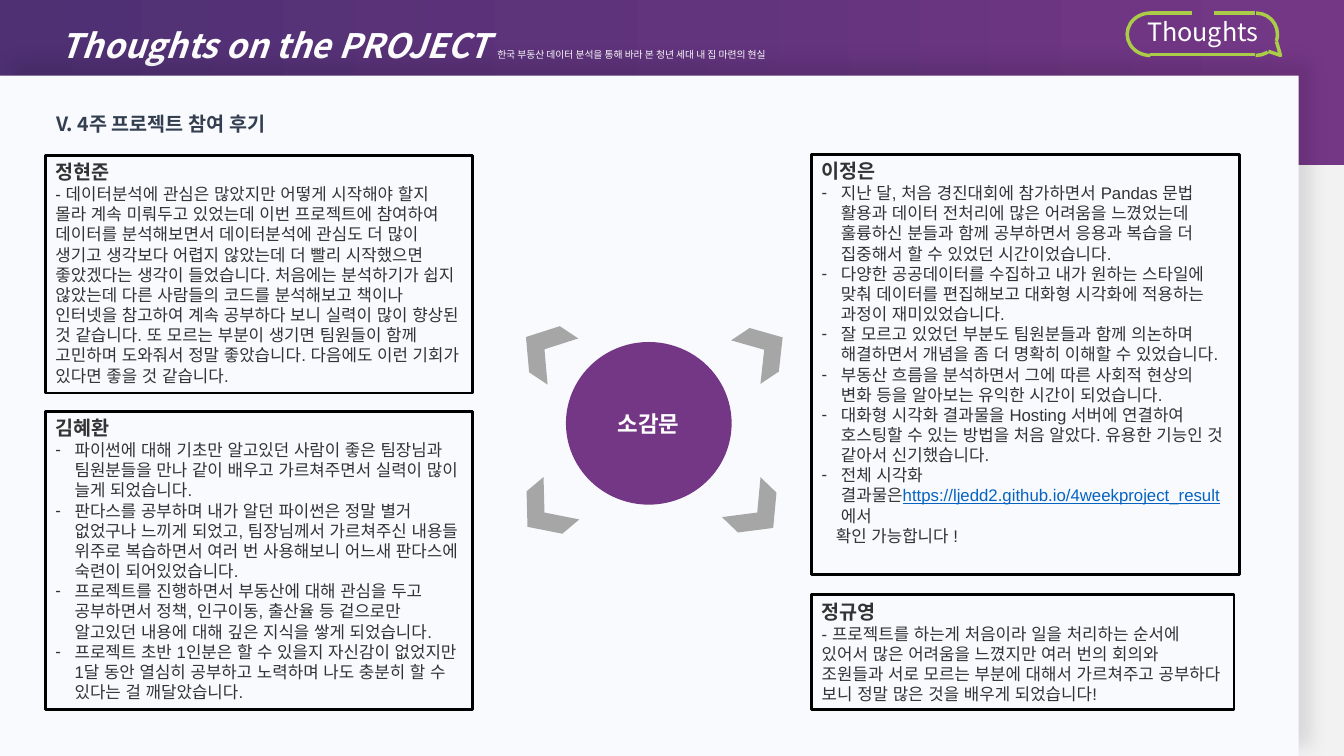
from dataclasses import dataclass

from lxml.etree import SubElement
from pptx import Presentation
from pptx.dml.color import RGBColor
from pptx.enum.shapes import MSO_CONNECTOR as Connector, MSO_SHAPE as Preset
from pptx.enum.text import MSO_ANCHOR as Anchor, MSO_AUTO_SIZE as AutoSize, PP_ALIGN as Align
from pptx.oxml.ns import qn
from pptx.util import Inches, Pt


@dataclass(frozen=True)
class Theme:
    background: str = "F2F2F2"
    panel: str = "F9FAFE"
    deep_purple: str = "4E3073"
    purple: str = "743786"
    lime: str = "ABCC49"
    gray: str = "A6A6A6"
    white: str = "FFFFFF"
    black: str = "000000"
    ink: str = "333333"
    slate: str = "333F50"
    link: str = "0563C1"
    heading_font: str = "Noto Sans CJK KR"
    body_font: str = "Arial"
    title_size: float = 24
    tagline_size: float = 7
    badge_size: float = 18
    center_size: float = 16
    name_size: float = 14
    body_size: float = 12


theme = Theme()

TITLE = "Thoughts on the PROJECT "
TAGLINE = "한국 부동산 데이터 분석을 통해 바라 본 청년 세대 내 집 마련의 현실"
SECTION = "V. 4주 프로젝트 참여 후기"
BADGE = "Thoughts"
CENTER = "소감문"
LINK = "https://ljedd2.github.io/4weekproject_result"

REVIEWS = [
    {"name": "정현준", "box": (0.45, 1.54, 4.24, 2.36), "paragraphs": [
        "- 데이터분석에 관심은 많았지만 어떻게 시작해야 할지 몰라 계속 미뤄두고 있었는데 이번 프로젝트에 참여하여 "
        "데이터를 분석해보면서 데이터분석에 관심도 더 많이 생기고 생각보다 어렵지 않았는데 더 빨리 시작했으면 "
        "좋았겠다는 생각이 들었습니다. 처음에는 분석하기가 쉽지 않았는데 다른 사람들의 코드를 분석해보고 책이나 "
        "인터넷을 참고하여 계속 공부하다 보니 실력이 많이 향상된 것 같습니다. 또 모르는 부분이 생기면 팀원들이 함께 "
        "고민하며 도와줘서 정말 좋았습니다. 다음에도 이런 기회가 있다면 좋을 것 같습니다."]},
    {"name": "이정은", "box": (8.05, 1.53, 4.24, 4.17), "bullets": [
        "지난 달, 처음 경진대회에 참가하면서 Pandas 문법 활용과 데이터 전처리에 많은 어려움을 느꼈었는데 "
        "훌륭하신 분들과 함께 공부하면서 응용과 복습을 더 집중해서 할 수 있었던 시간이었습니다.",
        "다양한 공공데이터를 수집하고 내가 원하는 스타일에 맞춰 데이터를 편집해보고 대화형 시각화에 적용하는 "
        "과정이 재미있었습니다.",
        "잘 모르고 있었던 부분도 팀원분들과 함께 의논하며 해결하면서 개념을 좀 더 명확히 이해할 수 있었습니다.",
        "부동산 흐름을 분석하면서 그에 따른 사회적 현상의 변화 등을 알아보는 유익한 시간이 되었습니다.",
        "대화형 시각화 결과물을 Hosting 서버에 연결하여 호스팅할 수 있는 방법을 처음 알았다. 유용한 기능인 "
        "것 같아서 신기했습니다.",
        f"전체 시각화 결과물은{LINK} 에서"],
     "closing": "확인 가능합니다 !"},
    {"name": "김혜환", "box": (0.45, 4.08, 4.24, 2.96), "bullets": [
        "파이썬에 대해 기초만 알고있던 사람이 좋은 팀장님과 팀원분들을 만나 같이 배우고 가르쳐주면서 실력이 많이 "
        "늘게 되었습니다.",
        "판다스를 공부하며 내가 알던 파이썬은 정말 별거 없었구나 느끼게 되었고, 팀장님께서 가르쳐주신 내용들 위주로 "
        "복습하면서 여러 번 사용해보니 어느새 판다스에 숙련이 되어있었습니다.",
        "프로젝트를 진행하면서 부동산에 대해 관심을 두고 공부하면서 정책, 인구이동, 출산율 등 겉으로만 알고있던 "
        "내용에 대해 깊은 지식을 쌓게 되었습니다.",
        "프로젝트 초반 1인분은 할 수 있을지 자신감이 없었지만 1달 동안 열심히 공부하고 노력하며 나도 충분히 할 수 "
        "있다는 걸 깨달았습니다."]},
    {"name": "정규영", "box": (8.05, 5.9, 4.19, 1.14), "paragraphs": [
        "- 프로젝트를 하는게 처음이라 일을 처리하는 순서에 있어서 많은 어려움을 느꼈지만 여러 번의 회의와 조원들과 "
        "서로 모르는 부분에 대해서 가르쳐주고 공부하다 보니 정말 많은 것을 배우게 되었습니다!"]},
]

CHEVRONS = [
    ((5.18, 3.19, 0.44, 0.55), 213.6),
    ((5.18, 4.81, 0.44, 0.55), 139.9),
    ((7.36, 3.21, 0.44, 0.52), 326.1),
    ((7.29, 4.81, 0.44, 0.55), 44),
]
BUBBLE_ARCS = [(97.02, 162.08), (52.96, 73.55)]
BUBBLE_LINES = [(11.41, 12.45, 0.54), (11.41, 11.82, 0.13), (12.04, 12.45, 0.13)]
BUBBLE_TAIL = [(12.66, 0.41), (12.7, 0.55), (12.58, 0.51)]


def rgb(color):
    return RGBColor.from_string(color)


def inches(values):
    return [Inches(value) for value in values]


def add_text(paragraph, text, size=theme.body_size, font=theme.body_font, color=theme.ink,
             bold=False, italic=False, underline=False):
    run = paragraph.add_run()
    run.text = text
    run.font.size, run.font.name = Pt(size), font
    run.font.bold, run.font.italic, run.font.underline = bold, italic, underline
    run.font.color.rgb = rgb(color)
    SubElement(run.font._element, qn("a:ea"), typeface=font)


def set_frame(shape, anchor=Anchor.TOP, wrap=True):
    frame = shape.text_frame
    frame.auto_size, frame.word_wrap, frame.vertical_anchor = AutoSize.NONE, wrap, anchor
    return frame.paragraphs[0]


def set_paragraph(paragraph, margin=0, bullet=None, spacing=1.0, align=Align.LEFT):
    paragraph.alignment, paragraph.line_spacing = align, spacing
    paragraph.space_before = Pt(0)
    properties = paragraph._p.get_or_add_pPr()
    properties.set("marL", str(Inches(margin)))
    properties.set("indent", str(Inches(-margin if bullet else 0)))
    if bullet:
        SubElement(properties, qn("a:buChar"), char=bullet)
    else:
        SubElement(properties, qn("a:buNone"))


def place(shape, box):
    shape.left, shape.top, shape.width, shape.height = inches(box)


def add_preset(shapes, preset, box, fill=None, line=None, width=1.0):
    shape = shapes.add_shape(preset, *inches(box))
    shape.shadow.inherit = False
    if fill:
        shape.fill.solid()
        shape.fill.fore_color.rgb = rgb(fill)
    else:
        shape.fill.background()
    if line:
        set_line(shape, line, width)
    else:
        shape.line.fill.background()
    return shape


def set_line(shape, color, width):
    shape.line.color.rgb = rgb(color)
    shape.line.width = Pt(width)


def add_header(slide):
    title = slide.shapes.title
    place(title, (0, 0, 13.33, 1.64))
    title.fill.gradient()
    title.fill.gradient_angle = 0
    for stop, color in zip(title.fill.gradient_stops, (theme.deep_purple, theme.purple)):
        stop.color.rgb = rgb(color)
    paragraph = set_frame(title)
    set_paragraph(paragraph, margin=0.5, spacing=1.5)
    heading = {"font": theme.heading_font, "color": theme.white}
    add_text(paragraph, TITLE, size=theme.title_size, bold=True, italic=True, **heading)
    add_text(paragraph, TAGLINE, size=theme.tagline_size, **heading)

    panel = add_preset(slide.shapes, Preset.RECTANGLE, (0, 0.75, 12.88, 6.78), theme.panel)
    effects = panel.element.spPr.find(qn("a:effectLst"))
    shadow = SubElement(effects, qn("a:outerShdw"), blurRad=str(Pt(13)), dist=str(Pt(13)),
                        dir=str(315 * 60000), algn="bl", rotWithShape="0")
    shadow_color = SubElement(shadow, qn("a:srgbClr"), val=theme.black)
    SubElement(shadow_color, qn("a:alpha"), val="11000")
    title.element.addnext(panel.element)


def add_bubble(slide):
    shapes = slide.shapes.add_group_shape().shapes
    outline = {"line": theme.lime, "width": 2.5}
    bracket = add_preset(shapes, Preset.LEFT_BRACKET, (11.18, 0.13, 0.23, 0.42), **outline)
    bracket.adjustments[0] = 0.92
    for angles in BUBBLE_ARCS:
        arc = add_preset(shapes, Preset.ARC, (12.25, 0.13, 0.42, 0.42), **outline)
        arc.adjustments[0], arc.adjustments[1] = angles
        arc.element.spPr.find(qn("a:xfrm")).set("flipH", "1")
    for start, end, top in BUBBLE_LINES:
        line = shapes.add_connector(Connector.STRAIGHT, *inches((start, top, end, top)))
        set_line(line, **{"color": theme.lime, "width": 2.5})
        SubElement(line._element.spPr, qn("a:effectLst"))
    start, *rest = [inches(point) for point in BUBBLE_TAIL]
    builder = shapes.build_freeform(*start)
    builder.add_line_segments(rest, close=False)
    tail = builder.convert_to_shape()
    tail.shadow.inherit = False
    tail.fill.background()
    set_line(tail, theme.lime, 2.5)


def add_label(slide, box, text, spacing=1.0, align=Align.LEFT, **text_format):
    paragraph = set_frame(slide.shapes.add_textbox(*inches(box)))
    set_paragraph(paragraph, spacing=spacing, align=align)
    add_text(paragraph, text, font=theme.heading_font, **text_format)


def fill_review(placeholder, review):
    place(placeholder, review["box"])
    set_line(placeholder, theme.black, 2)
    paragraph = set_frame(placeholder)
    set_paragraph(paragraph)
    add_text(paragraph, review["name"], size=theme.name_size, bold=True)
    entries = [(text, 0, None) for text in review.get("paragraphs", [])]
    entries += [(text, 0.19, "-") for text in review.get("bullets", [])]
    if "closing" in review:
        entries.append((review["closing"], 0.14, None))
    for text, margin, bullet in entries:
        paragraph = placeholder.text_frame.add_paragraph()
        set_paragraph(paragraph, margin, bullet)
        before, link, after = text.partition(LINK)
        add_text(paragraph, before)
        if link:
            add_text(paragraph, link, color=theme.link, underline=True)
            add_text(paragraph, after)


def add_center(slide):
    circle = add_preset(slide.shapes, Preset.OVAL, (5.62, 3.4, 1.63, 1.6), theme.purple, theme.purple)
    paragraph = set_frame(circle, Anchor.MIDDLE, wrap=False)
    set_paragraph(paragraph, align=Align.CENTER)
    add_text(paragraph, CENTER, size=theme.center_size, font=theme.heading_font,
             color=theme.white, bold=True)
    for box, rotation in CHEVRONS:
        add_preset(slide.shapes, Preset.CHEVRON, box, theme.gray).rotation = rotation


def main():
    presentation = Presentation()
    presentation.slide_width, presentation.slide_height = Inches(13.33), Inches(7.5)
    slide = presentation.slides.add_slide(presentation.slide_layouts.get_by_name("Comparison"))
    slide.background.fill.solid()
    slide.background.fill.fore_color.rgb = rgb(theme.background)
    add_header(slide)
    add_bubble(slide)
    add_label(slide, (11.25, 0.11, 1.36, 0.4), BADGE, align=Align.CENTER,
              size=theme.badge_size, color=theme.white)
    for placeholder, review in zip(list(slide.placeholders)[1:], REVIEWS):
        fill_review(placeholder, review)
    add_center(slide)
    add_label(slide, (0.46, 0.94, 6.7, 0.41), SECTION, spacing=1.5,
              size=theme.name_size, color=theme.slate, bold=True)
    presentation.save("out.pptx")


if __name__ == "__main__":
    main()
